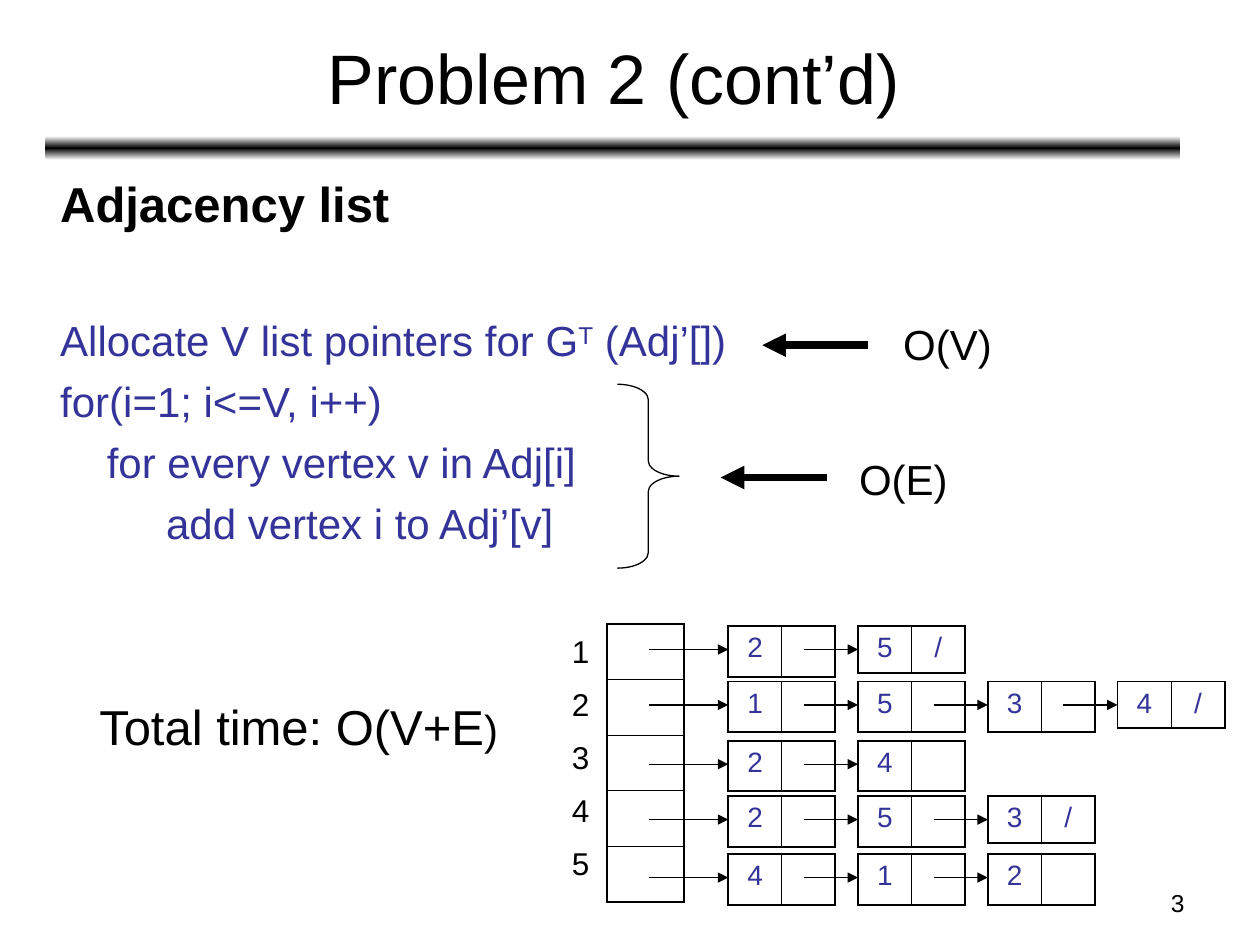
from copy import deepcopy
from pptx import Presentation
from pptx.dml.color import RGBColor
from pptx.enum.shapes import MSO_CONNECTOR as Connector, MSO_SHAPE as Shape
from pptx.enum.text import MSO_ANCHOR as Anchor, PP_ALIGN as Align
from pptx.oxml import parse_xml
from pptx.oxml.ns import nsdecls, qn
from pptx.util import Inches, Pt

BLACK, WHITE, BLUE = "000000", "FFFFFF", "333399"
TITLE = "Problem 2 (cont’d)"
# text, superscript flag
CODE = [
    (0, 4, 28, True, BLACK, [("Adjacency list", False)]),
    (0, 47, 24, False, BLUE, [("Allocate V list pointers for G", False), ("T", True), (" (Adj’[])", False)]),
    (0, 6, 24, False, BLUE, [("for(i=1; i<=V, i++)", False)]),
    (0.37, 6, 24, False, BLUE, [("for every vertex v in Adj[i]", False)]),
    (0.84, 6, 24, False, BLUE, [("add vertex i to Adj’[v]", False)]),
]
LABELS = [
    ((7.07, 2.48, 1, 0.5), Align.LEFT, [("O(V)", 24)]),
    ((6.72, 3.55, 1, 0.5), Align.LEFT, [("O(E)", 24)]),
    ((0.69, 5.48, 3.5, 0.57), Align.LEFT, [("Total time: O(V+E", 28), (")", 24)]),
    ((7.17, 7, 2.33, 0.35), Align.RIGHT, [("3", 14)]),
]
COST_ARROWS = [(6.89, 2.74), (6.56, 3.79)]
LISTS = [
    (4.97, [("2", ""), ("5", "/")]),
    (5.41, [("1", ""), ("5", ""), ("3", ""), ("4", "/")]),
    (5.88, [("2", ""), ("4", "")]),
    (6.32, [("2", ""), ("5", ""), ("3", "/")]),
    (6.78, [("4", ""), ("1", ""), ("2", "")]),
]
NODE_LEFT, NODE_PITCH, NODE_WIDTH, NODE_HEIGHT = 5.78, 1.03, 0.85, 0.37


def rgb(value):
    return RGBColor.from_string(value)


def box(*lengths):
    return [Inches(length) for length in lengths]


def add_run(paragraph, text, size, color=BLACK, bold=False, superscript=False):
    run = paragraph.add_run()
    run.text = text
    run.font.name, run.font.size, run.font.bold = "Arial", Pt(size), bold
    run.font.color.rgb = rgb(color)
    if superscript:
        run._r.get_or_add_rPr().set("baseline", "30000")


def add_label(slide, place, alignment, runs):
    frame = slide.shapes.add_textbox(*box(*place)).text_frame
    frame.word_wrap = True
    paragraph = frame.paragraphs[0]
    paragraph.alignment = alignment
    for text, size in runs:
        add_run(paragraph, text, size)


def add_arrow(slide, start, end, width):
    arrow = slide.shapes.add_connector(Connector.STRAIGHT, *box(*start, *end))
    arrow.line.color.rgb = rgb(BLACK)
    arrow.line.width = Pt(width)
    arrow.line._get_or_add_ln().append(parse_xml(f'<a:tailEnd type="triangle" {nsdecls("a")}/>'))
    arrow._element.spPr.append(parse_xml(f'<a:effectLst {nsdecls("a")}/>'))


def add_grid(slide, place, rows):
    row_count, column_count = len(rows), len(rows[0])
    table = slide.shapes.add_table(row_count, column_count, *box(*place)).table
    table.first_row = table.horz_banding = False
    for i, row in enumerate(rows):
        for j, text in enumerate(row):
            cell = table.cell(i, j)
            outer = {"L": j == 0, "R": j == column_count - 1, "T": i == 0, "B": i == row_count - 1}
            for side, is_outer in outer.items():
                width = Pt(1.08 if is_outer else 0.45)
                cell._tc.get_or_add_tcPr().append(parse_xml(
                    f'<a:ln{side} w="{width}" {nsdecls("a")}><a:solidFill>'
                    f'<a:srgbClr val="{BLACK}"/></a:solidFill></a:ln{side}>'))
            cell.fill.background()
            if text:
                paragraph = cell.text_frame.paragraphs[0]
                paragraph.alignment, paragraph.space_before = Align.CENTER, Pt(4)
                add_run(paragraph, text, 16, BLUE)


def add_rule(slide):
    rule = slide.shapes.add_shape(Shape.ROUNDED_RECTANGLE, *box(0.36, 1.08, 9.01, 0.19))
    rule.shadow.inherit = False
    rule.line.fill.background()
    rule.fill.gradient()
    rule.fill.gradient_angle = 90
    stops = rule._element.spPr.find(".//" + qn("a:gsLst"))
    stops.append(deepcopy(stops[-1]))
    for stop, color, position in zip(rule.fill.gradient_stops, (WHITE, BLACK, WHITE), (0, 0.5, 1)):
        stop.color.rgb, stop.position = rgb(color), position


def add_code(slide):
    frame = slide.shapes.add_textbox(*box(0.38, 1.33, 9, 5.55)).text_frame
    frame.word_wrap = True
    for i, (indent, space, size, bold, color, runs) in enumerate(CODE):
        paragraph = frame.add_paragraph() if i else frame.paragraphs[0]
        paragraph.space_before = Pt(space)
        paragraph._p.get_or_add_pPr().set("marL", str(Inches(indent)))
        for text, superscript in runs:
            add_run(paragraph, text, size, color, bold, superscript)


def add_lists(slide):
    add_grid(slide, (4.82, 4.95, 0.61, 2.21), [[""]] * len(LISTS))
    for i, (top, nodes) in enumerate(LISTS):
        add_label(slide, (4.44, 4.97 + 0.42 * i, 0.34, 0.4), Align.LEFT, [(str(i + 1), 18)])
        for j, node in enumerate(nodes):
            left, middle = NODE_LEFT + NODE_PITCH * j, top + NODE_HEIGHT / 2
            add_grid(slide, (left, top, NODE_WIDTH, NODE_HEIGHT), [node])
            add_arrow(slide, (left - (0.43 if j else 0.63), middle), (left, middle), 0.75)


def main():
    """Build the adjacency list slide."""
    presentation = Presentation()
    presentation.slide_width, presentation.slide_height = box(10, 7.5)
    slide = presentation.slides.add_slide(presentation.slide_layouts[5])
    add_rule(slide)
    title = slide.shapes.title
    title.left, title.top, title.width, title.height = box(0.37, 0.11, 9, 0.99)
    title.text_frame.vertical_anchor = Anchor.MIDDLE
    title.text_frame.paragraphs[0].alignment = Align.CENTER
    add_run(title.text_frame.paragraphs[0], TITLE, 40)
    add_code(slide)
    for label in LABELS:
        add_label(slide, *label)
    for right, middle in COST_ARROWS:
        add_arrow(slide, (right, middle), (right - 0.84, middle), 4.5)
    brace = slide.shapes.add_shape(Shape.RIGHT_BRACE, *box(4.9, 3.05, 0.49, 1.46))
    brace.adjustments[0] = 0.25
    brace.shadow.inherit = False
    brace.fill.background()
    brace.line.color.rgb, brace.line.width = rgb(BLACK), Pt(0.75)
    add_lists(slide)
    presentation.save("out.pptx")


if __name__ == "__main__":
    main()
